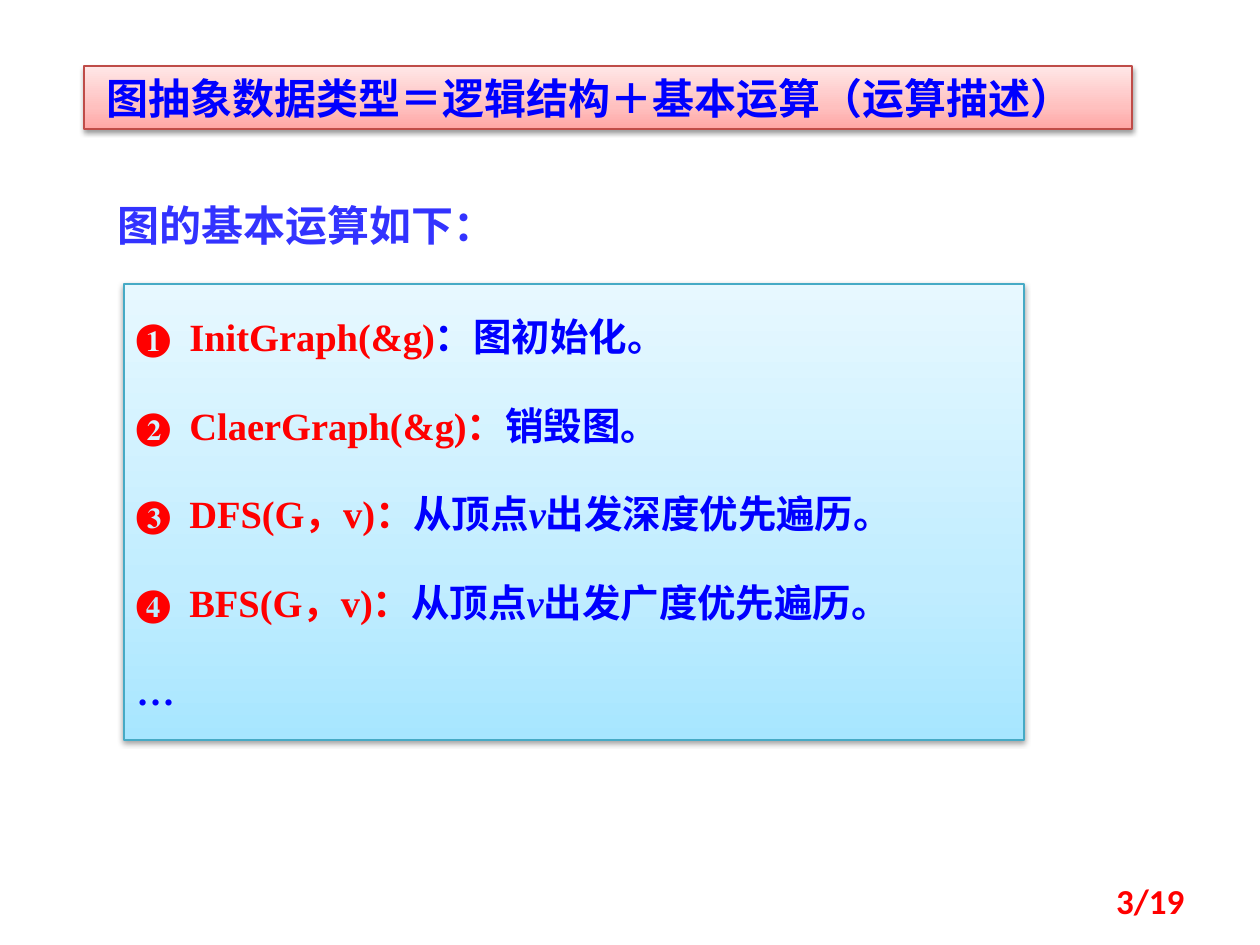
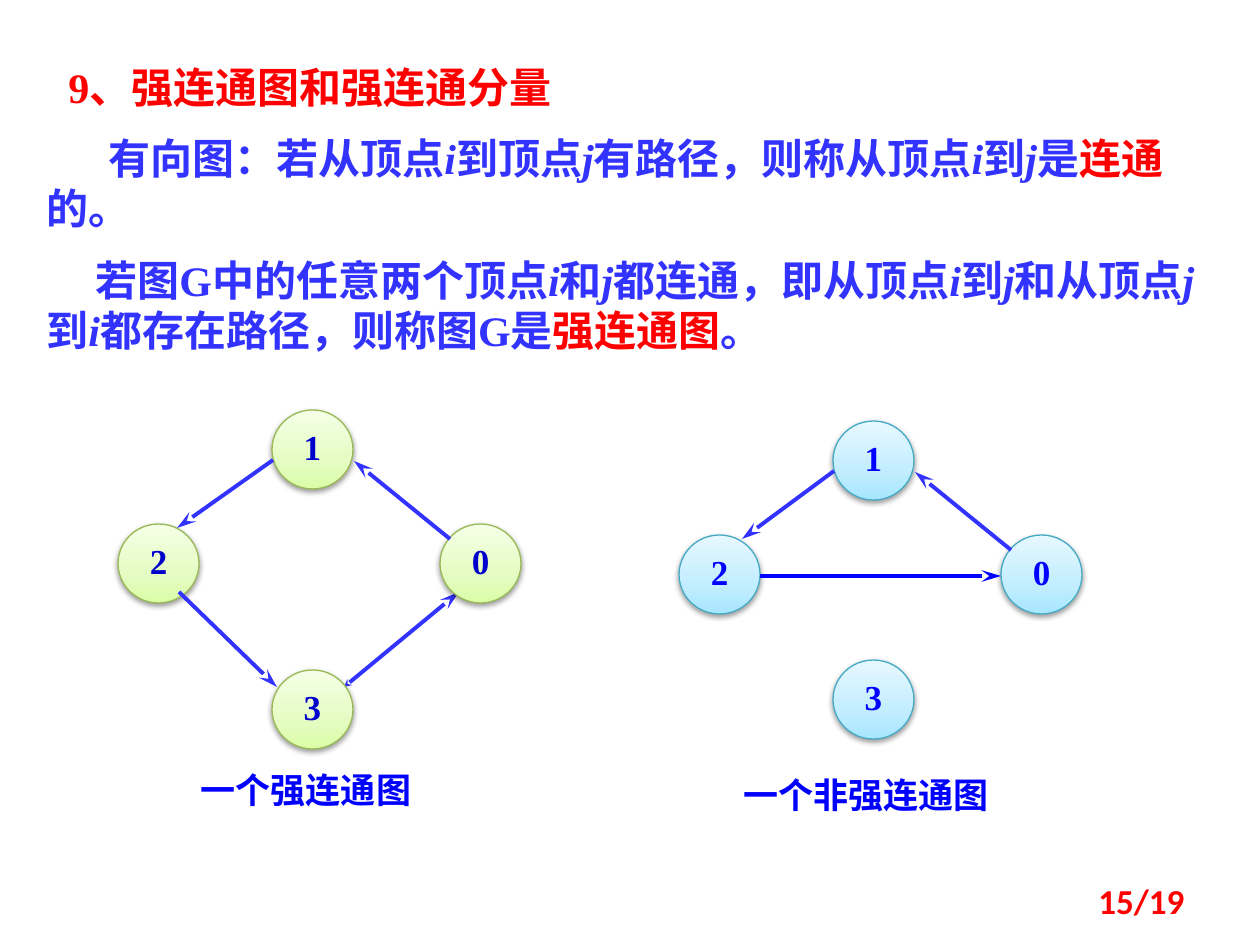
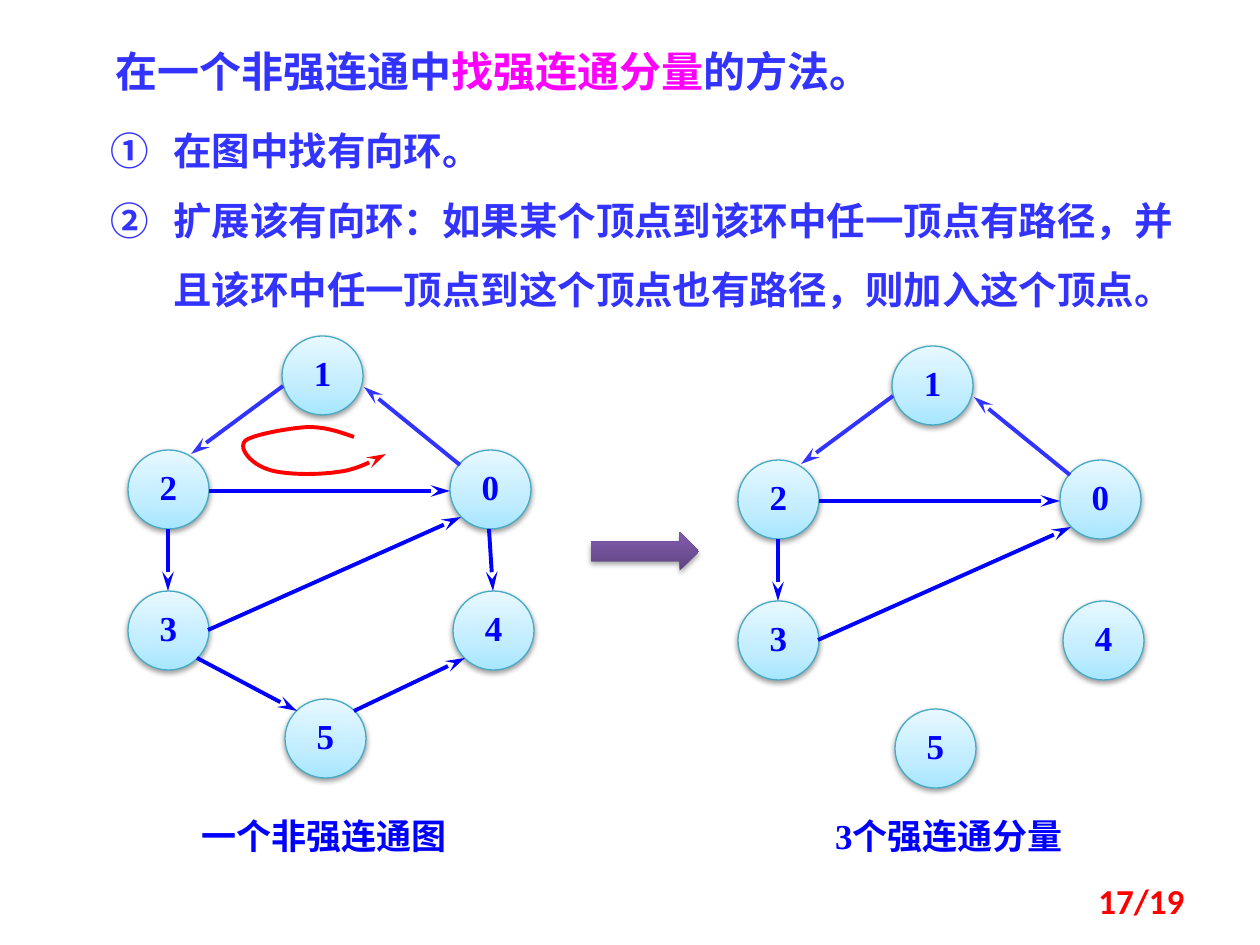
from lxml import etree
from pptx import Presentation
from pptx.dml.color import RGBColor
from pptx.enum.shapes import MSO_CONNECTOR, MSO_SHAPE
from pptx.enum.text import MSO_ANCHOR, MSO_AUTO_SIZE, PP_ALIGN
from pptx.oxml.ns import qn
from pptx.util import Pt

RECT, OVAL, ARROW = MSO_SHAPE.RECTANGLE, MSO_SHAPE.OVAL, MSO_SHAPE.RIGHT_ARROW
LINE = MSO_CONNECTOR.STRAIGHT
TOP, MID = MSO_ANCHOR.TOP, MSO_ANCHOR.MIDDLE
LEFT, MIDDLE, RIGHT = PP_ALIGN.LEFT, PP_ALIGN.CENTER, PP_ALIGN.RIGHT
GROW, FIXED = MSO_AUTO_SIZE.SHAPE_TO_FIT_TEXT, MSO_AUTO_SIZE.NONE

SCALE = 914400 / 126
SERIF, SANS, HAN = "Times New Roman", "Calibri", "Noto Sans CJK SC"

BLUE = RGBColor(0x00, 0x00, 0xFF)
NAVY = RGBColor(0x00, 0x00, 0xCC)
SOFT = RGBColor(0x33, 0x33, 0xFF)
RED = RGBColor(0xFF, 0x00, 0x00)
PINK = RGBColor(0xFF, 0x00, 0xFF)
BLACK = RGBColor(0x00, 0x00, 0x00)

# Skins: gradient stops from bottom to top, edge colour, shadow strength
ROSE = dict(stops=[(0, RGBColor(0xFF, 0xA6, 0xA5)), (35, RGBColor(0xFF, 0xC0, 0xBF)),
                   (100, RGBColor(0xFF, 0xE7, 0xE7))],
            edge=RGBColor(0xBF, 0x4C, 0x48), shade=38)
SKY = dict(stops=[(0, RGBColor(0xA7, 0xE6, 0xFF)), (35, RGBColor(0xC1, 0xED, 0xFF)),
                  (100, RGBColor(0xE7, 0xF8, 0xFF))],
           edge=RGBColor(0x46, 0xAA, 0xC5), shade=38)
LIME = dict(stops=[(0, RGBColor(0xDA, 0xFD, 0xA7)), (35, RGBColor(0xE4, 0xFC, 0xC2)),
                   (100, RGBColor(0xF5, 0xFF, 0xE7))],
            edge=RGBColor(0x98, 0xB9, 0x55), shade=38)
PLUM = dict(stops=[(0, RGBColor(0x5F, 0x44, 0x80)), (80, RGBColor(0x7B, 0x58, 0xA6)),
                   (100, RGBColor(0x7C, 0x57, 0xA8))],
            edge=None, shade=35)

# Content. A paragraph is a list of pieces: text, or (text, colour).
# Words between bars are italic.
BANNER = ["图抽象数据类型＝逻辑结构＋基本运算（运算描述）"]
INTRO = ["图的基本运算如下："]
CALLS = [
    [("❶\tInitGraph(&g)", RED), "：图初始化。"],
    [("❷\tClaerGraph(&g)：", RED), "销毁图。"],
    [("❸\tDFS(G，v)：", RED), "从顶点|v|出发深度优先遍历。"],
    [("❹\tBFS(G，v)：", RED), "从顶点|v|出发广度优先遍历。"],
    ["…"],
]
STRONG = [
    [("9、强连通图和强连通分量", RED)],
    ["有向图：若从顶点|i|到顶点|j|有路径，则称从顶点|i|到|j|是", ("连通", RED), "的。"],
    ["若图G中的任意两个顶点|i|和|j|都连通，即从顶点|i|到|j|和从顶点|j|到|i|"
     "都存在路径，则称图G是", ("强连通图", RED), "。"],
]
METHOD = ["在一个非强连通中", ("找强连通分量", PINK), "的方法。"]
STEPS = [
    ["在图中找有向环。"],
    ["扩展该有向环：如果某个顶点到该环中任一顶点有路径，并且该环中任一顶点"
     "到这个顶点也有路径，则加入这个顶点。"],
]

# Graphs, in pixels from each graph's own corner
NODE = (81, 79)
TRIO = {"1": (154, 0), "0": (322, 114), "2": (0, 114)}
FULL = {**TRIO, "3": (0, 255), "4": (325, 255), "5": (157, 363)}
ARCS = [(155, 50, 63, 118), (332, 129, 236, 51)]
BASE = (81, 155, 322, 155)
CORE = [BASE, (40, 193, 40, 255), (80, 294, 333, 181)]
REST = [(69, 322, 169, 375), (361, 193, 365, 255), (226, 375, 337, 322)]
RING = [(155, 50, 59, 118), ARCS[1], (61, 182, 159, 277)]
TWIN = (226, 277, 341, 182)

# Bezier pieces of the loop mark: start, then two controls and an end each
START = (354, 437)
BENDS = [
    [(340, 432), (326, 427), (308, 427)],
    [(289, 428), (251, 435), (245, 441)],
    [(238, 449), (252, 464), (267, 469)],
    [(282, 475), (318, 475), (337, 472)],
    [(357, 470), (372, 461), (386, 454)],
]


def px(num):
    """Turn pixels into EMU."""
    return round(num * SCALE)


def write(shape, paras, size=24, col=SOFT, font=SERIF, align=LEFT, anchor=TOP,
          fit=GROW, inset=None, gap=False, lead=None, left=0, first=(0,), num=None):
    """Fill a shape with formatted paragraphs; first holds first-line indents."""
    frame = shape.text_frame
    frame.word_wrap, frame.auto_size, frame.vertical_anchor = True, fit, anchor
    if inset:
        (frame.margin_left, frame.margin_top,
         frame.margin_right, frame.margin_bottom) = map(px, inset)
    for k, pieces in enumerate(paras):
        para = frame.add_paragraph() if k else frame.paragraphs[0]
        para.alignment = align
        if lead:
            para.line_spacing = lead
        props = para._p.get_or_add_pPr()
        props.set("marL", str(px(left)))
        props.set("indent", str(px(first[k % len(first)])))
        if gap:
            para.space_before = Pt(size / 2)
            space = props.find(qn("a:spcBef"))
            space.clear()
            etree.SubElement(space, qn("a:spcPct"), val="50000")
        if num:
            etree.SubElement(props, qn("a:buAutoNum"), type=num)
        for piece in pieces:
            text, tint = (piece, col) if isinstance(piece, str) else piece
            for odd, part in enumerate(text.split("|")):
                run = para.add_run()
                run.text = part
                face = run.font
                face.size, face.bold, face.name = Pt(size), True, font
                face.italic = odd % 2 == 1
                face.color.rgb = tint
                etree.SubElement(run._r.get_or_add_rPr(), qn("a:ea"), typeface=HAN)


def label(slide, box, paras, **form):
    """Add a text box."""
    write(slide.shapes.add_textbox(*map(px, box)), paras, **form)


def tint(parent, col, alpha=None):
    """Append a colour, with its strength in percent, to an XML element."""
    node = etree.SubElement(parent, qn("a:srgbClr"), val=str(col))
    if alpha:
        etree.SubElement(node, qn("a:alpha"), val=str(alpha * 1000))


def block(slide, kind, box, skin):
    """Add a shape with a gradient, an edge and a soft shadow."""
    shape = slide.shapes.add_shape(kind, *map(px, box))
    shape.fill.gradient()
    shape.fill.gradient_angle = 90
    props = shape._element.spPr
    stops = props.find(".//" + qn("a:gsLst"))
    stops.clear()
    for pos, col in skin["stops"]:
        tint(etree.SubElement(stops, qn("a:gs"), pos=str(pos * 1000)), col)
    if skin["edge"]:
        shape.line.color.rgb = skin["edge"]
        shape.line.width = Pt(0.75)
    else:
        shape.line.fill.background()
    shape.shadow.inherit = False
    shade = etree.SubElement(props.find(qn("a:effectLst")), qn("a:outerShdw"),
                             blurRad="40000", dist="20000", dir="5400000", rotWithShape="0")
    tint(shade, BLACK, skin["shade"])
    return shape


def tip(shape, col, end="tailEnd", wide="med", long="lg"):
    """Style a line and put a stealth arrowhead on one end."""
    shape.line.color.rgb = col
    shape.line.width = Pt(2.25)
    pen = shape.line._get_or_add_ln()
    etree.SubElement(pen, qn("a:" + end), type="stealth", w=wide, len=long)


def link(slide, spot, edge, col, twin=False):
    """Draw an arrow given relative to a graph's corner."""
    x, y = spot
    x1, y1, x2, y2 = edge
    line = slide.shapes.add_connector(LINE, px(x + x1), px(y + y1), px(x + x2), px(y + y2))
    etree.SubElement(line._element.spPr, qn("a:effectLst"))
    if twin:
        tip(line, col, "headEnd", "sm", "sm")
    tip(line, col)


def graph(slide, spot, nodes, soft, bold=(), skin=SKY, ink=BLUE):
    """Draw round nodes, then soft and bold arrows between them."""
    for name, (x, y) in nodes.items():
        disc = block(slide, OVAL, (spot[0] + x, spot[1] + y, *NODE), skin)
        write(disc, [[name]], size=20, col=ink, align=MIDDLE, fit=FIXED,
              inset=(0, 15, 0, 0), lead=0.72)
    for edge in soft:
        link(slide, spot, edge, SOFT)
    for edge in bold:
        link(slide, spot, edge, BLUE)


def title(slide, x, y, text, wide=276):
    """Add the caption under a graph."""
    label(slide, (x, y, wide, 55), [[text]], size=20, col=BLUE, align=MIDDLE)


def curve(slide, start, bends, col, steps=12):
    """Draw an open curve with an arrowhead from Bezier pieces."""
    points, a = [], start
    for b, c, d in bends:
        for k in range(1, steps + 1):
            t = k / steps
            u = 1 - t
            points.append(tuple(
                px(u**3 * a[i] + 3 * u * u * t * b[i] + 3 * u * t * t * c[i] + t**3 * d[i])
                for i in (0, 1)))
        a = d
    pen = slide.shapes.build_freeform(px(start[0]), px(start[1]))
    pen.add_line_segments(points, close=False)
    shape = pen.convert_to_shape()
    shape.fill.background()
    shape.shadow.inherit = False
    shape.line.color.rgb = col
    tip(shape, col)


def page(deck, number):
    """Add a blank slide with its page number."""
    slide = deck.slides.add_slide(deck.slide_layouts[6])
    label(slide, (903, 876, 294, 50), [[f"{number}/19"]], size=20, col=RED,
          font=SANS, align=RIGHT, anchor=MID, fit=FIXED)
    return slide


def calls(deck):
    """Build the slide of basic operations."""
    slide = page(deck, 3)
    write(block(slide, RECT, (84, 66, 1048, 63), ROSE), [BANNER],
          col=BLUE, font=HAN, gap=True, left=10)
    label(slide, (105, 193, 536, 63), [INTRO], gap=True)
    write(block(slide, RECT, (124, 284, 900, 456), SKY), CALLS, size=22,
          col=BLUE, gap=True, lead=1.5, left=53, first=(-53,))


def strong(deck):
    """Build the slide that defines strong connection."""
    slide = page(deck, 15)
    label(slide, (34, 55, 1177, 318), STRONG, gap=True, first=(22, 62, 49))
    spot = (118, 410)
    link(slide, spot, TWIN, SOFT, twin=True)
    graph(slide, spot, {**TRIO, "3": (154, 260)}, RING, skin=LIME, ink=NAVY)
    title(slide, 168, 762, "一个强连通图")
    graph(slide, (679, 421), {**TRIO, "3": (154, 239)}, ARCS, [BASE])
    title(slide, 728, 767, "一个非强连通图")


def method(deck):
    """Build the slide on finding strong components."""
    slide = page(deck, 17)
    label(slide, (103, 39, 881, 63), [METHOD], gap=True)
    label(slide, (98, 98, 1123, 223), STEPS, size=22, font=HAN, lead=1.5,
          left=63, first=(-63,), num="circleNumDbPlain")
    graph(slide, (128, 336), FULL, ARCS, CORE + REST)
    curve(slide, START, BENDS, RED)
    title(slide, 186, 808, "一个非强连通图")
    block(slide, ARROW, (591, 532, 108, 39), PLUM)
    graph(slide, (738, 346), FULL, ARCS, CORE)
    title(slide, 806, 808, "3个强连通分量", 286)


deck = Presentation()
deck.slide_width, deck.slide_height = px(1260), px(945)
for build in (calls, strong, method):
    build(deck)
deck.save("out.pptx")
